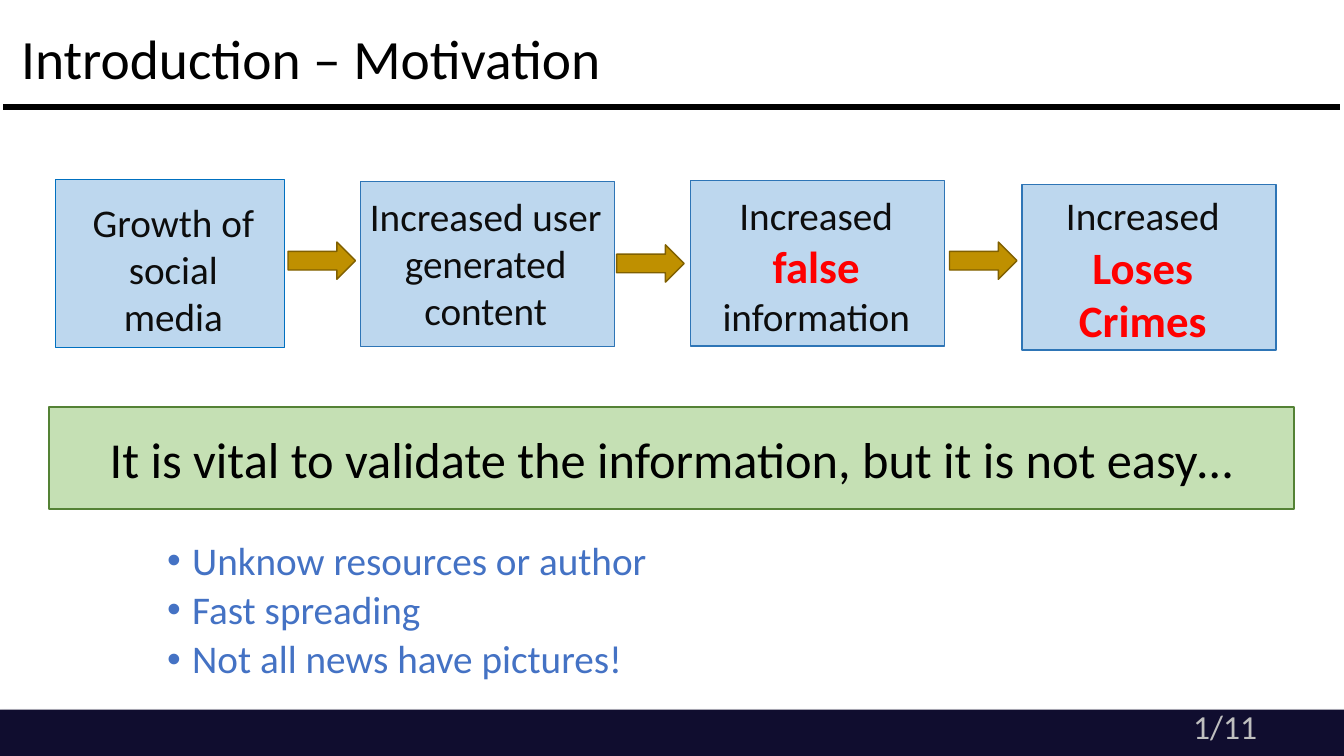
import lxml.etree
import pptx
import pptx.dml.color
import pptx.enum.shapes
import pptx.enum.text
import pptx.oxml
import pptx.oxml.ns
import pptx.util

Cm = pptx.util.Cm
Pt = pptx.util.Pt
color = pptx.dml.color.RGBColor.from_string
SHAPES = pptx.enum.shapes.MSO_SHAPE
ALIGN = pptx.enum.text.PP_ALIGN
ANCHOR = pptx.enum.text.MSO_ANCHOR
AUTO_SIZE = pptx.enum.text.MSO_AUTO_SIZE


def add_filled_shape(kind, left, top, width, height, fill, line=None):
    """Add a flat preset shape, measured in centimetres."""
    shape = slide.shapes.add_shape(kind, Cm(left), Cm(top), Cm(width), Cm(height))
    shape.shadow.inherit = False
    shape.fill.solid()
    shape.fill.fore_color.rgb = color(fill)
    if line:
        shape.line.color.rgb = color(line)
        shape.line.width = Pt(1)
    else:
        shape.line.fill.background()
    return shape


def style_font(font, size, hex_color, bold=False):
    font.name = "Calibri"
    font.size = Pt(size)
    font.bold = bold
    font.color.rgb = color(hex_color)


presentation = pptx.Presentation()
presentation.slide_width = Cm(33.87)
presentation.slide_height = Cm(19.05)
slide = presentation.slides.add_slide(presentation.slide_layouts[1])

# Title and the rule below it
title = slide.shapes.title
title.left, title.top, title.width, title.height = Cm(0.28), Cm(0.74), Cm(29.21), Cm(1.63)
title.text_frame.text = "Introduction – Motivation"
title.text_frame.auto_size = AUTO_SIZE.NONE
title.text_frame.vertical_anchor = ANCHOR.MIDDLE
paragraph = title.text_frame.paragraphs[0]
paragraph.alignment = ALIGN.LEFT
paragraph.line_spacing = 0.9
style_font(paragraph.runs[0].font, 39.6, "000000")

rule = slide.shapes.add_connector(
    pptx.enum.shapes.MSO_CONNECTOR.STRAIGHT, Cm(0.08), Cm(2.69), Cm(33.78), Cm(2.69))
rule.line.color.rgb = color("000000")
rule.line.width = Pt(4.5)
lxml.etree.SubElement(rule._element.spPr, pptx.oxml.ns.qn("a:effectLst"))

# Reasons
reasons = ["Unknow resources or author", "Fast spreading", "Not all news have pictures!"]
body = slide.placeholders[1]
body.left, body.top, body.width, body.height = Cm(2.69), Cm(13.51), Cm(29.92), Cm(4.75)
body.text_frame.text = "\n".join(reasons)
body.text_frame.auto_size = AUTO_SIZE.NONE
body.text_frame.vertical_anchor = ANCHOR.TOP
for index, paragraph in enumerate(body.text_frame.paragraphs):
    paragraph.level = 1
    paragraph.line_spacing = 0.9
    paragraph.space_before = Pt(5 if index else 0)
    properties = paragraph._p.get_or_add_pPr()
    properties.set("marL", str(Cm(1.9)))
    properties.set("indent", str(-Cm(0.63)))
    for tag, attribute, value in [("a:buFont", "typeface", "Arial"), ("a:buChar", "char", "•")]:
        bullet = lxml.etree.SubElement(properties, pptx.oxml.ns.qn(tag))
        bullet.set(attribute, value)
    style_font(paragraph.runs[0].font, 28, "4472C4")

# Chain of causes: box (left, top, width, height), label place, label paragraphs
DARK = (28, "0D0D0D", False)
ALERT = (32, "FF0000", True)
causes = [
    ((1.4, 4.52, 5.77, 4.24), "0070C0", (1.65, 4.88, 5.44, 3.84),
     [[("Growth of social media", DARK)]]),
    ((9.09, 4.57, 6.4, 4.17), "2E75B6", (9.04, 4.72, 6.4, 3.84),
     [[("Increased user generated content", DARK)]]),
    ((17.4, 4.55, 6.4, 4.17), "2E75B6", (17.37, 4.7, 6.4, 4.01),
     [[("Increased ", DARK), ("false", ALERT), (" information", DARK)]]),
    ((25.76, 4.65, 6.4, 4.17), "2E75B6", (25.6, 4.55, 6.4, 4.37),
     [[("Increased", DARK), (" Loses", ALERT)], [("Crimes", ALERT)]]),
]
for box, outline, label_place, label_paragraphs in causes:
    add_filled_shape(SHAPES.RECTANGLE, *box, "BDD7EE", outline)
    label = slide.shapes.add_textbox(*map(Cm, label_place))
    label.text_frame.word_wrap = True
    label.text_frame.auto_size = AUTO_SIZE.SHAPE_TO_FIT_TEXT
    for index, parts in enumerate(label_paragraphs):
        paragraph = label.text_frame.add_paragraph() if index else label.text_frame.paragraphs[0]
        paragraph.alignment = ALIGN.CENTER
        for text, style in parts:
            run = paragraph.add_run()
            run.text = text
            style_font(run.font, *style)

for left, top in [(7.26, 6.1), (15.54, 6.17), (23.93, 6.1)]:
    add_filled_shape(SHAPES.RIGHT_ARROW, left, top, 1.7, 0.94, "BF9000", "806000")

# Conclusion banner
banner = add_filled_shape(SHAPES.RECTANGLE, 1.24, 10.26, 31.37, 2.57, "C5E0B4", "548235")
banner.text_frame.text = "It is vital to validate the information, but it is not easy…"
banner.text_frame.vertical_anchor = ANCHOR.MIDDLE
paragraph = banner.text_frame.paragraphs[0]
paragraph.alignment = ALIGN.CENTER
style_font(paragraph.runs[0].font, 36, "000000")

# Footer bar with a soft shadow, and the page number
footer = add_filled_shape(SHAPES.RECTANGLE, 0, 17.88, 33.87, 1.17, "100D2F")
effects = footer._element.spPr.find(pptx.oxml.ns.qn("a:effectLst"))
effects.append(pptx.oxml.parse_xml(
    f'<a:outerShdw {pptx.oxml.ns.nsdecls("a")} blurRad="{Pt(3.1)}" dist="{Pt(1.8)}" '
    'dir="5400000" rotWithShape="0"><a:srgbClr val="000000"><a:alpha val="35000"/>'
    '</a:srgbClr></a:outerShdw>'))

page_number = slide.shapes.add_textbox(Cm(29.74), Cm(17.58), Cm(3.56), Cm(1.42))
frame = page_number.text_frame
frame.word_wrap = True
frame.vertical_anchor = ANCHOR.MIDDLE
frame.margin_left = frame.margin_right = Cm(0.33)
frame.margin_top = frame.margin_bottom = Cm(0.18)
frame.text = "1/11"
style_font(frame.paragraphs[0].runs[0].font, 24, "BFBFBF")

presentation.save("out.pptx")
